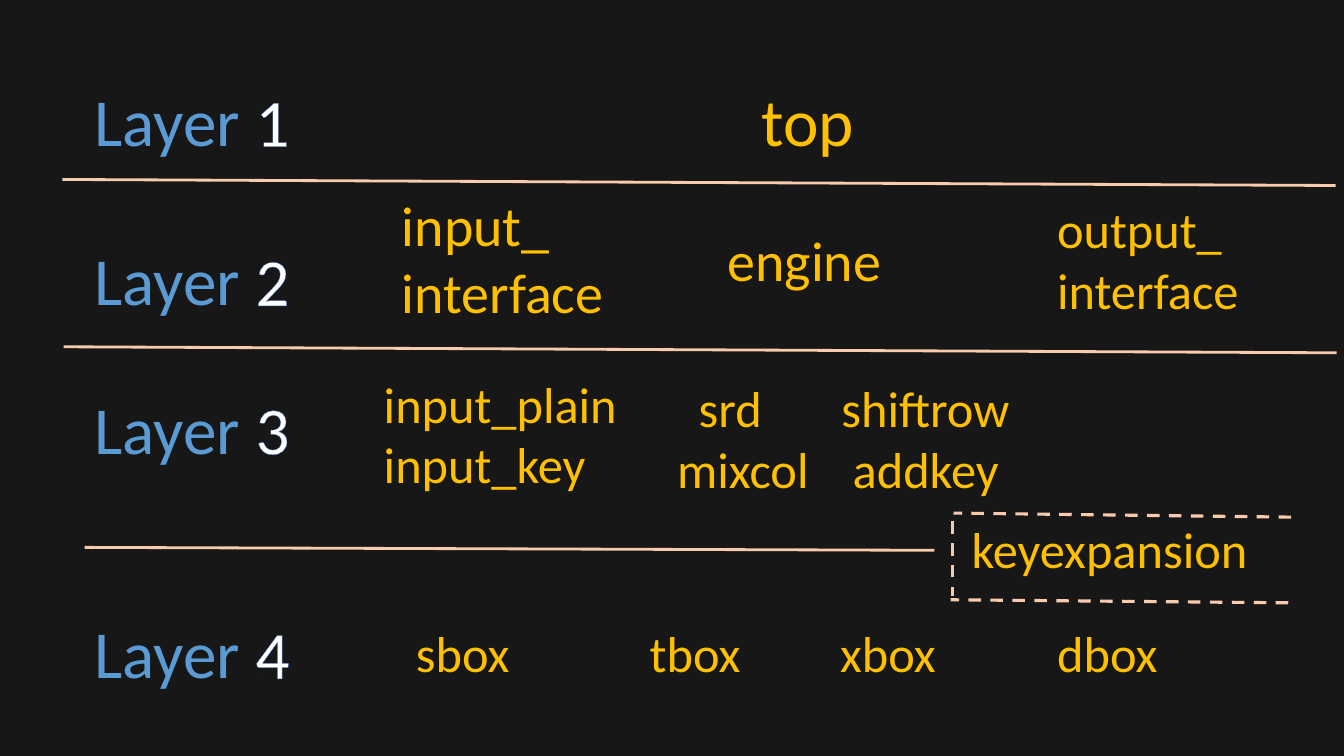
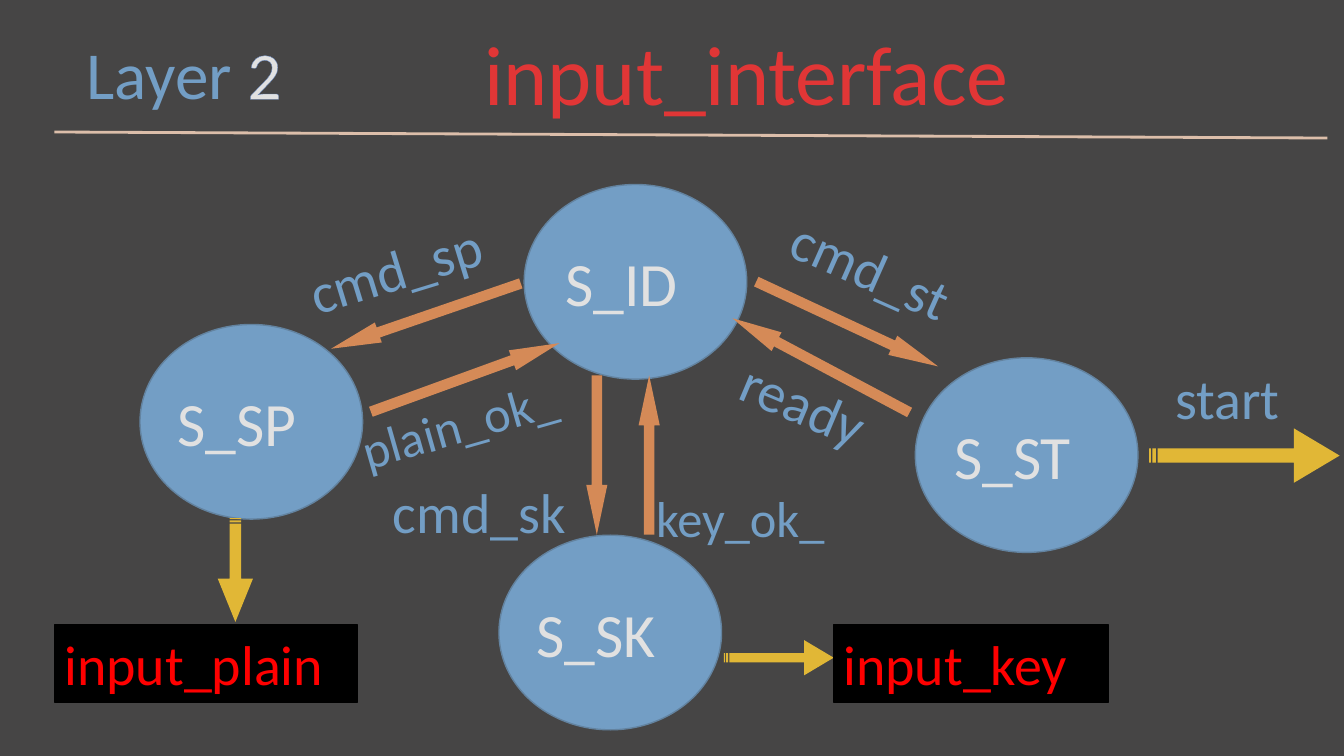
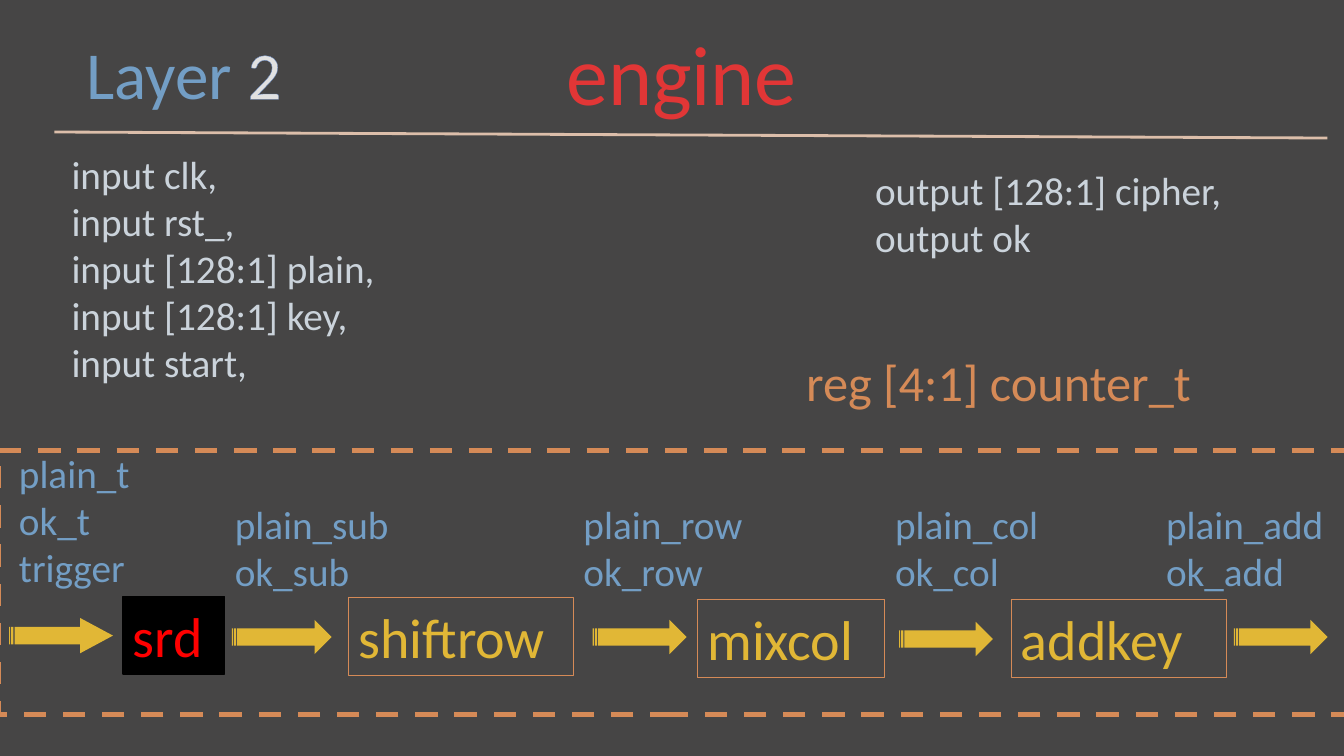
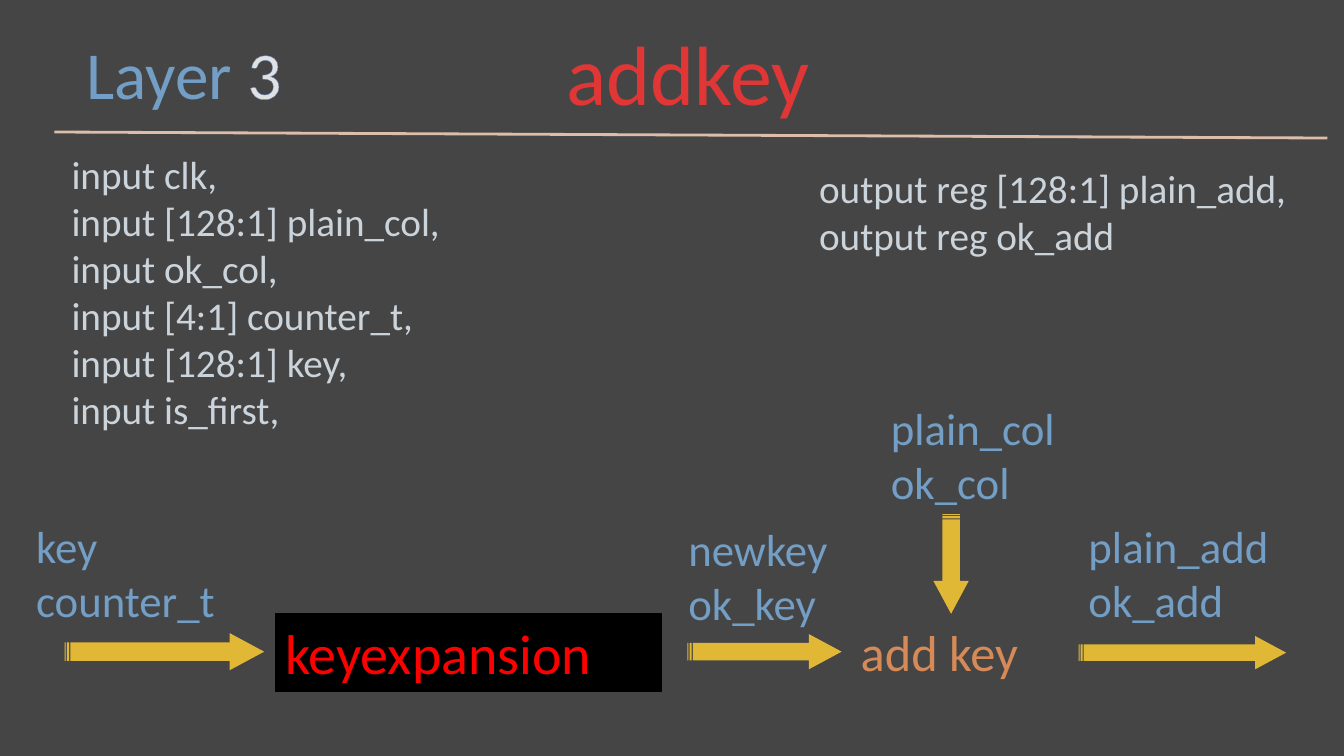
from dataclasses import dataclass

from lxml import etree
from pptx import Presentation
from pptx.dml.color import RGBColor
from pptx.enum.dml import MSO_LINE
from pptx.enum.shapes import MSO_CONNECTOR, MSO_SHAPE
from pptx.enum.text import MSO_ANCHOR, PP_ALIGN
from pptx.oxml.ns import qn
from pptx.util import Pt

RECTANGLE = MSO_SHAPE.RECTANGLE
ELLIPSE = MSO_SHAPE.OVAL
ARROW = MSO_SHAPE.RIGHT_ARROW
STRIPED_ARROW = MSO_SHAPE.STRIPED_RIGHT_ARROW
STRAIGHT = MSO_CONNECTOR.STRAIGHT
DASH = MSO_LINE.DASH
LEFT, CENTER = PP_ALIGN.LEFT, PP_ALIGN.CENTER
TOP, MIDDLE = MSO_ANCHOR.TOP, MSO_ANCHOR.MIDDLE


@dataclass(frozen=True)
class Theme:
    font: str = "Calibri"
    width: float = 960
    height: float = 540
    background: str = "181717"
    veil: str = "A5A5A5"
    blue: str = "5B9BD5"
    blue_edge: str = "43739E"
    number: str = "FFFFFF"
    number_edge: str = "4472C4"
    gold: str = "FFC000"
    orange: str = "ED7D31"
    peach: str = "F8CBAD"
    pale: str = "DEEBF7"
    red: str = "FF0000"
    black: str = "000000"
    title_size: float = 60
    layer_size: float = 48
    state_size: float = 44
    large: float = 40
    medium: float = 36
    signal: float = 32
    small: float = 28


THEME = Theme()


def color(value):
    return RGBColor.from_string(value)


def text_height(lines, size):
    return lines * size * 1.2 + 7.2


def style_paragraph(paragraph, size, fill, align=LEFT):
    paragraph.alignment = align
    paragraph.font.name = THEME.font
    paragraph.font.size = Pt(size)
    paragraph.font.color.rgb = color(fill)


def write(shape, text, size, fill, align=LEFT, anchor=TOP):
    frame = shape.text_frame
    frame.word_wrap = True
    frame.vertical_anchor = anchor
    frame.text = text
    for paragraph in frame.paragraphs:
        style_paragraph(paragraph, size, fill, align)
    return frame


def add_label(slide, text, left, top, width, size, fill, rotation=0):
    height = text_height(text.count("\n") + 1, size)
    box = slide.shapes.add_textbox(Pt(left), Pt(top), Pt(width), Pt(height))
    box.rotation = rotation
    write(box, text, size, fill)


def add_layer_label(slide, number, left, top):
    """Write "Layer" in blue and its number in outlined white."""
    height = text_height(1, THEME.layer_size)
    box = slide.shapes.add_textbox(Pt(left), Pt(top), Pt(173), Pt(height))
    box.text_frame.word_wrap = True
    paragraph = box.text_frame.paragraphs[0]
    style_paragraph(paragraph, THEME.layer_size, THEME.blue)
    paragraph.add_run().text = "Layer "
    digit = paragraph.add_run()
    digit.text = str(number)
    digit.font.color.rgb = color(THEME.number)
    outline = etree.Element(qn("a:ln"), w=str(Pt(0.8)))
    solid = etree.SubElement(outline, qn("a:solidFill"))
    etree.SubElement(solid, qn("a:srgbClr"), val=THEME.number_edge)
    digit.font._element.insert(0, outline)


def add_rule(slide, start, end, weight=2, dash=None):
    rule = slide.shapes.add_connector(STRAIGHT, *map(Pt, start + end))
    rule.line.color.rgb = color(THEME.peach)
    rule.line.width = Pt(weight)
    rule.line.dash_style = dash
    etree.SubElement(rule._element.spPr, qn("a:effectLst"))


def add_figure(slide, kind, frame, fill=None, edge=None, weight=1):
    """Add a preset shape; without fill or edge that part stays empty."""
    shape = slide.shapes.add_shape(kind, *map(Pt, frame))
    shape.shadow.inherit = False
    if fill:
        shape.fill.solid()
        shape.fill.fore_color.rgb = color(fill)
    else:
        shape.fill.background()
    if edge:
        shape.line.color.rgb = color(edge)
        shape.line.width = Pt(weight)
    else:
        shape.line.fill.background()
    return shape


def add_arrow(slide, kind, frame, fill, adjustments=(0.5, 0.5), rotation=0):
    arrow = add_figure(slide, kind, frame, fill)
    arrow.rotation = rotation
    for index, value in enumerate(adjustments):
        arrow.adjustments[index] = value


def add_striped_arrow(slide, frame, adjustments=(0.5, 0.93), rotation=0):
    add_arrow(slide, STRIPED_ARROW, frame, THEME.gold, adjustments, rotation)


def add_module_box(slide, text, left, top, width, fill, edge, weight, ink):
    frame = (left, top, width, text_height(1, THEME.large))
    box = add_figure(slide, RECTANGLE, frame, fill, edge, weight)
    write(box, text, THEME.large, ink, anchor=MIDDLE)


def add_active_module(slide, text, left, top, width):
    add_module_box(slide, text, left, top, width,
                   THEME.black, THEME.black, 1, THEME.red)


def add_outlined_module(slide, text, left, top, width):
    add_module_box(slide, text, left, top, width,
                   None, THEME.orange, 0.5, THEME.gold)


def add_state(slide, name, left, top):
    state = add_figure(slide, ELLIPSE, (left, top, 159, 139),
                       THEME.blue, THEME.blue_edge)
    frame = write(state, name, THEME.state_size, THEME.number, CENTER, MIDDLE)
    frame.margin_left = 0
    frame.margin_right = Pt(20)


def add_veil(slide):
    """Lighten everything drawn so far with a translucent sheet."""
    veil = add_figure(slide, RECTANGLE, (0, 0, THEME.width, THEME.height),
                      THEME.veil)
    tint = veil._element.spPr.find(".//" + qn("a:srgbClr"))
    etree.SubElement(tint, qn("a:alpha"), val="33000")


def add_slide(presentation):
    return presentation.slides.add_slide(presentation.slide_layouts[6])


def add_module_slide(presentation, layer, title, left, width):
    slide = add_slide(presentation)
    add_layer_label(slide, layer, 54.7, 19.4)
    add_label(slide, title, left, 12.2, width, THEME.title_size, THEME.red)
    add_rule(slide, (38.9, 94.3), (948.2, 98.6))
    return slide


def build_overview(presentation):
    slide = add_slide(presentation)
    for number, top in enumerate((53.3, 167, 273, 433.4), start=1):
        add_layer_label(slide, number, 60.5, top)

    box_top, pair_top = 440.6, 265.7
    pair_bottom = pair_top + THEME.medium * 1.22
    for text, left, top, width, size in (
        ("top", 537, 53.3, 86, THEME.layer_size),
        ("input_\ninterface", 280, 132.5, 184, THEME.large),
        ("engine", 512.6, 157.7, 134, THEME.large),
        ("output_\ninterface", 748, 138.2, 154, THEME.medium),
        ("input_plain\ninput_key", 267, 262.8, 190, THEME.medium),
        ("srd", 492, pair_top, 80, THEME.medium),
        ("shiftrow", 594, pair_top, 150, THEME.medium),
        ("mixcol", 476.6, pair_bottom, 120, THEME.medium),
        ("addkey", 602, pair_bottom, 130, THEME.medium),
        ("sbox", 290, box_top, 93, THEME.medium),
        ("tbox", 457, box_top, 87, THEME.medium),
        ("xbox", 593, box_top, 94, THEME.medium),
        ("dbox", 748, box_top, 97, THEME.medium),
        ("keyexpansion", 687, 366.5, 236, THEME.medium),
    ):
        add_label(slide, text, left, top, width, size, THEME.gold)

    for start, end in (
        ((44.6, 128.2), (954, 132.5)),
        ((45.4, 247.7), (954.7, 252)),
        ((60.5, 391), (667.4, 393.1)),
    ):
        add_rule(slide, start, end)
    for start, end in (
        ((680.4, 372.2), (680.4, 425.5)),
        ((920.2, 430.6), (679, 428.4)),
        ((922.3, 369.4), (681.1, 366.5)),
    ):
        add_rule(slide, start, end, 2.25, DASH)


def build_input_interface(presentation):
    slide = add_module_slide(presentation, 2, "input_interface", 339, 411)
    for name, left, top in (
        ("S_ID", 374.4, 131.8),
        ("S_ST", 653.8, 255.6),
        ("S_SK", 356.4, 382.3),
        ("S_SP", 100, 231.8),
    ):
        add_state(slide, name, left, top)

    for left, top, length, rotation in (
        (232.6, 218.2, 143.3, 161),
        (260.6, 262.1, 143.3, 340),
        (369.4, 317.5, 113.8, 90),
        (406.8, 317.5, 113.8, 270),
        (514.8, 253.4, 143.3, 208),
        (533.5, 223.9, 143.3, 25),
    ):
        add_arrow(slide, ARROW, (left, top, length, 15.1), THEME.orange,
                  (0.5, 2.36), rotation)

    for text, left, top, width, size, rotation in (
        ("cmd_sp", 211.7, 161.3, 157.7, THEME.large, 343),
        ("cmd_sk", 273.6, 337.7, 154.8, THEME.large, 0),
        ("cmd_st", 555.8, 167, 146.2, THEME.large, 24),
        ("start", 832.3, 256.3, 94.3, THEME.large, 0),
        ("plain_ok_", 249.1, 275.8, 166.3, THEME.medium, 344),
        ("key_ok_", 461.5, 344.2, 145.4, THEME.medium, 0),
        ("ready", 521.3, 262.1, 114.5, THEME.large, 23),
    ):
        add_label(slide, text, left, top, width, size, THEME.blue, rotation)

    add_striped_arrow(slide, (820.8, 306, 136.1, 38.9), (0.26, 0.84))
    add_striped_arrow(slide, (131, 394.6, 74.2, 25.2), (0.32, 1.23), 90)
    add_striped_arrow(slide, (517, 457.2, 78.5, 25.2), (0.26, 0.84))
    add_veil(slide)
    add_active_module(slide, "input_plain", 38.9, 446.4, 216.7)
    add_active_module(slide, "input_key", 595.4, 446.4, 196.6)


def build_engine(presentation):
    slide = add_module_slide(presentation, 2, "engine", 397.4, 193)
    inputs = ("input clk,\ninput rst_,\ninput [128:1] plain,\n"
              "input [128:1] key,\ninput start,")
    add_label(slide, inputs, 44, 103.7, 250, THEME.small, THEME.pale)
    add_label(slide, "output [128:1] cipher,\noutput ok", 618, 115.2, 280,
              THEME.small, THEME.pale)
    add_label(slide, "reg [4:1] counter_t", 568.8, 247, 306.7,
              THEME.medium, THEME.orange)

    for text, left, top, width in (
        ("shiftrow", 249.1, 427, 160.6),
        ("mixcol", 498.2, 428.4, 133.9),
        ("addkey", 722.2, 428.4, 154.1),
    ):
        add_outlined_module(slide, text, left, top, width)

    add_striped_arrow(slide, (6.5, 441.4, 74.2, 25.2))
    for left, top, length in (
        (165.6, 442.8, 71.3),
        (423.4, 442.8, 67),
        (642.2, 444.2, 67),
        (881.3, 442.8, 67),
    ):
        add_striped_arrow(slide, (left, top, length, 24.5), (0.5, 0.5))

    add_label(slide, "plain_t\nok_t\ntrigger", 6.5, 317.5, 96.5,
              THEME.small, THEME.blue)
    for stage, left in (("sub", 160.6), ("row", 409.7),
                        ("col", 632.2), ("add", 825.8)):
        add_label(slide, f"plain_{stage}\nok_{stage}", left, 353.5, 134,
                  THEME.small, THEME.blue)

    pipeline = add_figure(slide, RECTANGLE, (-1.5, 321.8, 964, 188.6),
                          None, THEME.orange, 4)
    pipeline.line.dash_style = DASH
    add_veil(slide)
    add_active_module(slide, "srd", 87.8, 426.2, 72.7)


def build_addkey(presentation):
    slide = add_module_slide(presentation, 3, "addkey", 397.4, 211)
    inputs = ("input clk,\ninput [128:1] plain_col,\ninput ok_col,\n"
              "input [4:1] counter_t,\ninput [128:1] key,\ninput is_first,")
    outputs = "output reg [128:1] plain_add,\noutput reg ok_add"
    add_label(slide, inputs, 44, 103.7, 300, THEME.small, THEME.pale)
    add_label(slide, outputs, 578, 113.8, 365, THEME.small, THEME.pale)

    add_striped_arrow(slide, (46.1, 452.2, 142.6, 26.6))
    add_striped_arrow(slide, (491, 452.9, 110.2, 25.2))
    add_striped_arrow(slide, (770.4, 454.3, 148.3, 23.8))
    add_striped_arrow(slide, (643.7, 390.2, 71.3, 25.2), rotation=90)

    for text, left, top, width in (
        ("key\ncounter_t", 18.7, 367.2, 150),
        ("newkey\nok_key", 484.6, 369.4, 123),
        ("plain_add\nok_add", 770.4, 367.2, 154),
        ("plain_col\nok_col", 629.3, 283, 141),
    ):
        add_label(slide, text, left, top, width, THEME.signal, THEME.blue)
    add_label(slide, "add key", 607.7, 440, 142.6, THEME.medium, THEME.orange)
    add_veil(slide)
    add_active_module(slide, "keyexpansion", 196.6, 438.5, 275.8)


def main():
    presentation = Presentation()
    presentation.slide_width = Pt(THEME.width)
    presentation.slide_height = Pt(THEME.height)
    backdrop = presentation.slide_master.background.fill
    backdrop.solid()
    backdrop.fore_color.rgb = color(THEME.background)
    build_overview(presentation)
    build_input_interface(presentation)
    build_engine(presentation)
    build_addkey(presentation)
    presentation.save("out.pptx")


if __name__ == "__main__":
    main()
